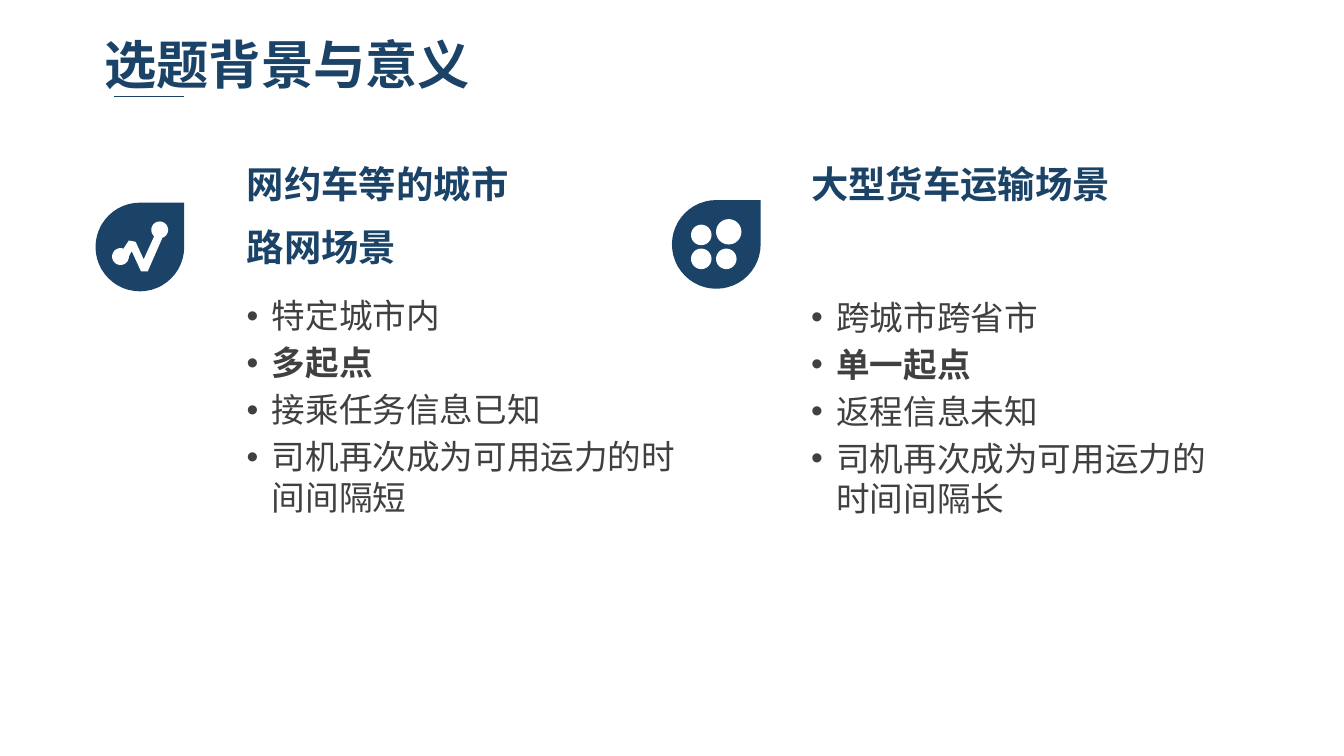
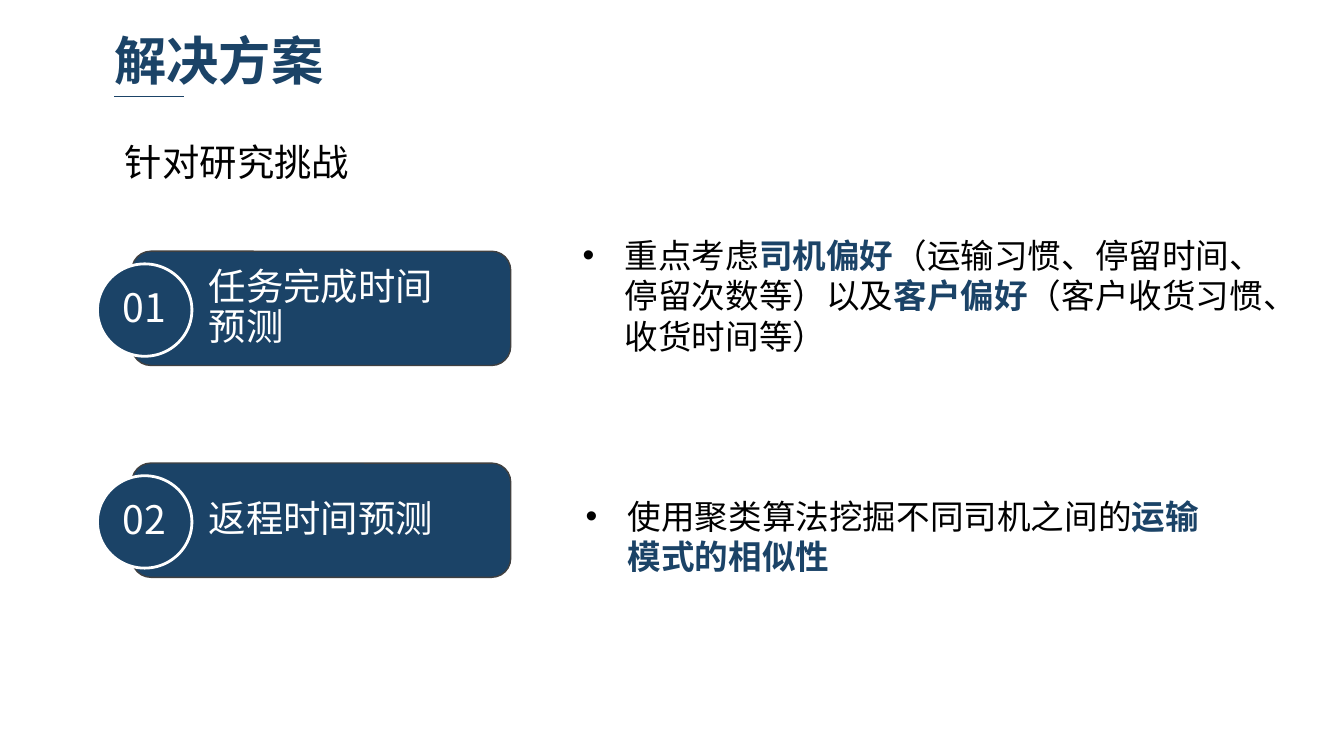
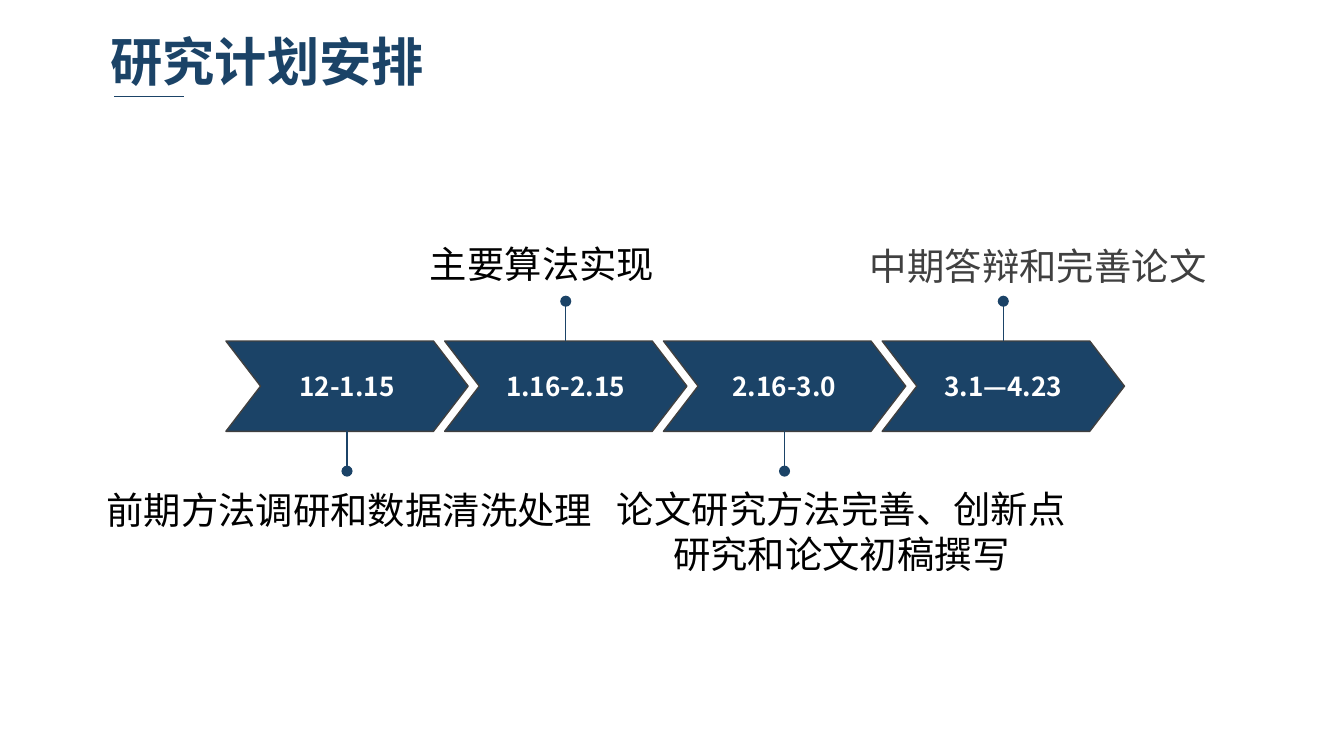
from dataclasses import dataclass
from math import cos, radians, sin
from typing import NamedTuple, Optional, Union

from lxml.etree import SubElement
from pptx import Presentation
from pptx.dml.color import RGBColor
from pptx.enum.shapes import MSO_CONNECTOR, MSO_SHAPE
from pptx.enum.text import MSO_ANCHOR, MSO_AUTO_SIZE, PP_ALIGN
from pptx.oxml.ns import qn
from pptx.util import Length, Pt

NAVY = RGBColor(0x1B, 0x43, 0x67)
GREY = RGBColor(0x40, 0x40, 0x40)
BLACK = RGBColor(0, 0, 0)
WHITE = RGBColor(0xFF, 0xFF, 0xFF)
FONT = "Noto Sans CJK SC"
INSETS = (5.4, 2.7, 5.4, 2.7)
LEFT, CENTER = PP_ALIGN.LEFT, PP_ALIGN.CENTER


class Rect(NamedTuple):
    x: float
    y: float
    w: float
    h: float


class Run(NamedTuple):
    text: str
    color: RGBColor = BLACK
    bold: bool = False


@dataclass(frozen=True)
class Style:
    size: float
    align: PP_ALIGN = LEFT
    spacing: Union[float, Length, None] = None
    before: float = 0
    bullet_indent: float = 0
    insets: tuple = INSETS
    grow: bool = False
    wrap: bool = True


TITLE = Style(28, grow=True)
HEADING = Style(20, spacing=1.4, before=4)
LIST = Style(18, before=3.6, bullet_indent=13.5)
POINT = Style(18, bullet_indent=22.5, grow=True)
LABEL = Style(20, CENTER, grow=True)
TIGHT_LABEL = Style(20, CENTER, spacing=Pt(15), grow=True)
ONE_LINE = Style(20, CENTER, grow=True, wrap=False)
CARD = Style(20, spacing=0.9, insets=(38.2, 18.7, 37.4, 18.7))
NUMBER = Style(21, CENTER, spacing=0.9, insets=(0, 0, 0, 0))
DATE = Style(14, CENTER)


# Shared drawing functions
def fill_text(tf, paragraphs: list[list[Run]], style: Style) -> None:
    tf.word_wrap = style.wrap
    tf.auto_size = MSO_AUTO_SIZE.SHAPE_TO_FIT_TEXT if style.grow else MSO_AUTO_SIZE.NONE
    tf.margin_left, tf.margin_top, tf.margin_right, tf.margin_bottom = map(Pt, style.insets)
    for i, runs in enumerate(paragraphs):
        p = tf.add_paragraph() if i else tf.paragraphs[0]
        p.alignment = style.align
        p.space_before = Pt(style.before)
        if style.spacing:
            p.line_spacing = style.spacing
        if style.bullet_indent:
            pPr = p._p.get_or_add_pPr()
            pPr.set("marL", str(Pt(style.bullet_indent)))
            pPr.set("indent", str(-Pt(style.bullet_indent)))
            SubElement(pPr, qn("a:buFont")).set("typeface", "Arial")
            SubElement(pPr, qn("a:buChar")).set("char", "•")
        for run in runs:
            r = p.add_run()
            r.text = run.text
            font = r.font
            font.name, font.size, font.bold = FONT, Pt(style.size), run.bold
            font.color.rgb = run.color
            SubElement(r._r.get_or_add_rPr(), qn("a:ea")).set("typeface", FONT)


def add_text(s, rect: Rect, paragraphs: list[list[Run]], style: Style) -> None:
    box = s.shapes.add_textbox(*map(Pt, rect))
    fill_text(box.text_frame, paragraphs, style)


def paint(sp, fill: RGBColor, line: Optional[RGBColor] = None, width: float = 0.75) -> None:
    sp.shadow.inherit = False
    sp.fill.solid()
    sp.fill.fore_color.rgb = fill
    if line is None:
        sp.line.fill.background()
    else:
        sp.line.color.rgb = line
        sp.line.width = Pt(width)


def add_shape(s, kind: MSO_SHAPE, rect: Rect, fill: RGBColor,
              line: Optional[RGBColor] = None, width: float = 0.75,
              text: str = "", style: Optional[Style] = None):
    sp = s.shapes.add_shape(kind, *map(Pt, rect))
    paint(sp, fill, line, width)
    if style:
        sp.text_frame.vertical_anchor = MSO_ANCHOR.MIDDLE
        fill_text(sp.text_frame, [[Run(text, WHITE, style is DATE)]], style)
    return sp


def add_line(s, x1: float, y1: float, x2: float, y2: float, dot: bool = False) -> None:
    line = s.shapes.add_connector(MSO_CONNECTOR.STRAIGHT, *map(Pt, (x1, y1, x2, y2)))
    line.line.color.rgb = NAVY
    line.line.width = Pt(0.75)
    if dot:
        SubElement(line.line._get_or_add_ln(), qn("a:tailEnd")).set("type", "oval")
    SubElement(line._element.spPr, qn("a:effectLst"))


def add_slide(prs, title: str, x: float, y: float, w: float):
    s = prs.slides.add_slide(prs.slide_layouts[6])
    add_text(s, Rect(x, y, w, 39.6), [[Run(title, NAVY, True)]], TITLE)
    add_line(s, 61.2, 51.8, 98.6, 51.8)
    return s


# Background slide: two scenarios with icons
def arc(cx: float, cy: float, radius: float, start: int, end: int) -> list[tuple]:
    return [(cx + radius * cos(radians(a)), cy + radius * sin(radians(a)))
            for a in range(start, end - 1, -10)]


def add_trend_icon(s) -> None:
    add_shape(s, MSO_SHAPE.TEAR, Rect(51.2, 108.6, 47.5, 47.5), NAVY)
    points = [
        *arc(85.6, 123.2, 4.5, 71, -232),
        (77, 139), (72.7, 129.6), (69.1, 128.9), (66.2, 133.2),
        *arc(64.6, 137.5, 4.5, -70, -369),
        (70.6, 134.6), (75.6, 145.4), (79.2, 145.4),
    ]
    outline = [(Pt(x), Pt(y)) for x, y in points]
    builder = s.shapes.build_freeform(*outline[0])
    builder.add_line_segments(outline[1:], close=True)
    paint(builder.convert_to_shape(), WHITE)


def add_dots_icon(s) -> None:
    add_shape(s, MSO_SHAPE.TEAR, Rect(360, 107.2, 47.5, 47.5), NAVY)
    for x, y, d in [(370.2, 120.4, 11), (383.6, 117.4, 13.6),
                    (370.2, 133.2, 11), (383.6, 133.2, 11)]:
        add_shape(s, MSO_SHAPE.OVAL, Rect(x, y, d, d), WHITE)


class Scenario(NamedTuple):
    x: float
    heading: str
    heading_w: float
    list_y: float
    list_w: float
    items: list[str]


SCENARIOS = [
    Scenario(126.8, "网约车等的城市路网场景", 157, 155.5, 247.7,
             ["特定城市内", "多起点", "接乘任务信息已知", "司机再次成为可用运力的时间间隔短"]),
    Scenario(429.1, "大型货车运输场景", 185, 156.2, 231.1,
             ["跨城市跨省市", "单一起点", "返程信息未知", "司机再次成为可用运力的时间间隔长"]),
]


def build_background(prs) -> None:
    s = add_slide(prs, "选题背景与意义", 50.6, 14.6, 254.2)
    for sc in SCENARIOS:
        add_text(s, Rect(sc.x, 74.2, sc.heading_w, 22.3),
                 [[Run(sc.heading, NAVY, True)]], HEADING)
        # The starting point is the emphasised item
        add_text(s, Rect(sc.x, sc.list_y, sc.list_w, 82.5),
                 [[Run(t, GREY, t.endswith("起点"))] for t in sc.items], LIST)
    add_trend_icon(s)
    add_dots_icon(s)


# Solution slide: numbered cards with explanations
class Solution(NamedTuple):
    number: str
    name: str
    rect: Rect
    runs: list[Run]


SOLUTIONS = [
    Solution("01", "任务完成时间预测", Rect(306.7, 123.2, 385.2, 117.4), [
        Run("重点考虑"), Run("司机偏好", NAVY, True),
        Run("（运输习惯、停留时间、停留次数等）以及"),
        Run("客户偏好", NAVY, True), Run("（客户收货习惯、收货时间等）")]),
    Solution("02", "返程时间预测", Rect(306.7, 262, 360, 51), [
        Run("使用聚类算法挖掘不同司机之间的"), Run("运输模式的相似性", NAVY, True)]),
]


def build_solution(prs) -> None:
    s = add_slide(prs, "解决方案", 56, 12.5, 259.2)
    add_text(s, Rect(61.2, 72, 131.8, 29.5), [[Run("针对研究挑战")]], ONE_LINE)
    for i, sol in enumerate(SOLUTIONS):
        y = 134.6 + i * 113.5
        add_shape(s, MSO_SHAPE.ROUNDED_RECTANGLE, Rect(70.6, y, 203, 61.2), NAVY,
                  GREY, text=sol.name, style=CARD)
        add_shape(s, MSO_SHAPE.OVAL, Rect(52.2, y + 6.8, 50.6, 49.5), NAVY,
                  WHITE, 1.5, sol.number, NUMBER)
        point = sol.rect
        style = POINT if i == 0 else Style(
            18, bullet_indent=22.5, insets=(7.2, 3.6, 7.2, 3.6), grow=True)
        add_text(s, point, [sol.runs], style)


# Plan slide: chevron timeline with labels alternating below and above
class Stage(NamedTuple):
    dates: str
    task: str
    rect: Rect
    style: Style = LABEL
    color: RGBColor = BLACK


STAGES = [
    Stage("12-1.15", "前期方法调研和数据清洗处理", Rect(50.4, 258.5, 273.6, 29.5), ONE_LINE),
    Stage("1.16-2.15", "主要算法实现", Rect(208.8, 135.4, 163.4, 21.6), TIGHT_LABEL),
    Stage("2.16-3.0", "论文研究方法完善、创新点研究和论文初稿撰写", Rect(323.3, 257.8, 254.9, 54)),
    Stage("3.1—4.23", "中期答辩和完善论文", Rect(450, 127.4, 212.4, 29.5), color=GREY),
]


def build_plan(prs) -> None:
    s = add_slide(prs, "研究计划安排", 53.8, 13, 229.7)
    left, top, width, height, pitch = 121, 182.7, 129.8, 48.4, 117.2
    stem = 21.3
    for i, stage in enumerate(STAGES):
        x = left + i * pitch
        chevron = add_shape(s, MSO_SHAPE.CHEVRON, Rect(x, top, width, height), NAVY,
                            GREY, text=stage.dates, style=DATE)
        chevron.adjustments[0] = 0.384
        mid = x + width / 2
        start, end = (top, top - stem) if i % 2 else (top + height, top + height + stem)
        add_line(s, mid, start, mid, end, dot=True)
        add_text(s, stage.rect, [[Run(stage.task, stage.color)]], stage.style)


def main() -> None:
    prs = Presentation()
    prs.slide_width, prs.slide_height = Pt(720), Pt(405)
    build_background(prs)
    build_solution(prs)
    build_plan(prs)
    prs.save("out.pptx")


if __name__ == "__main__":
    main()
